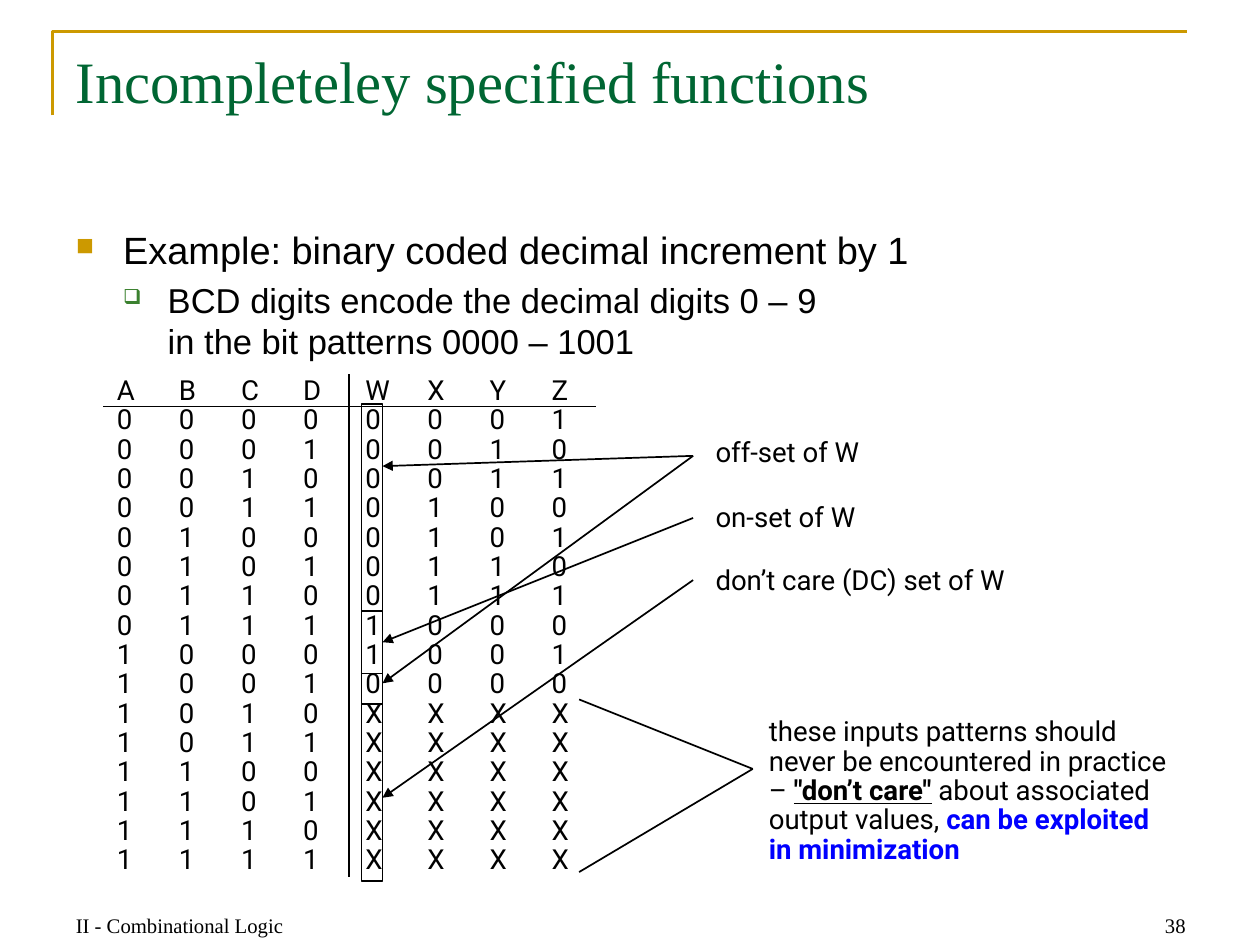
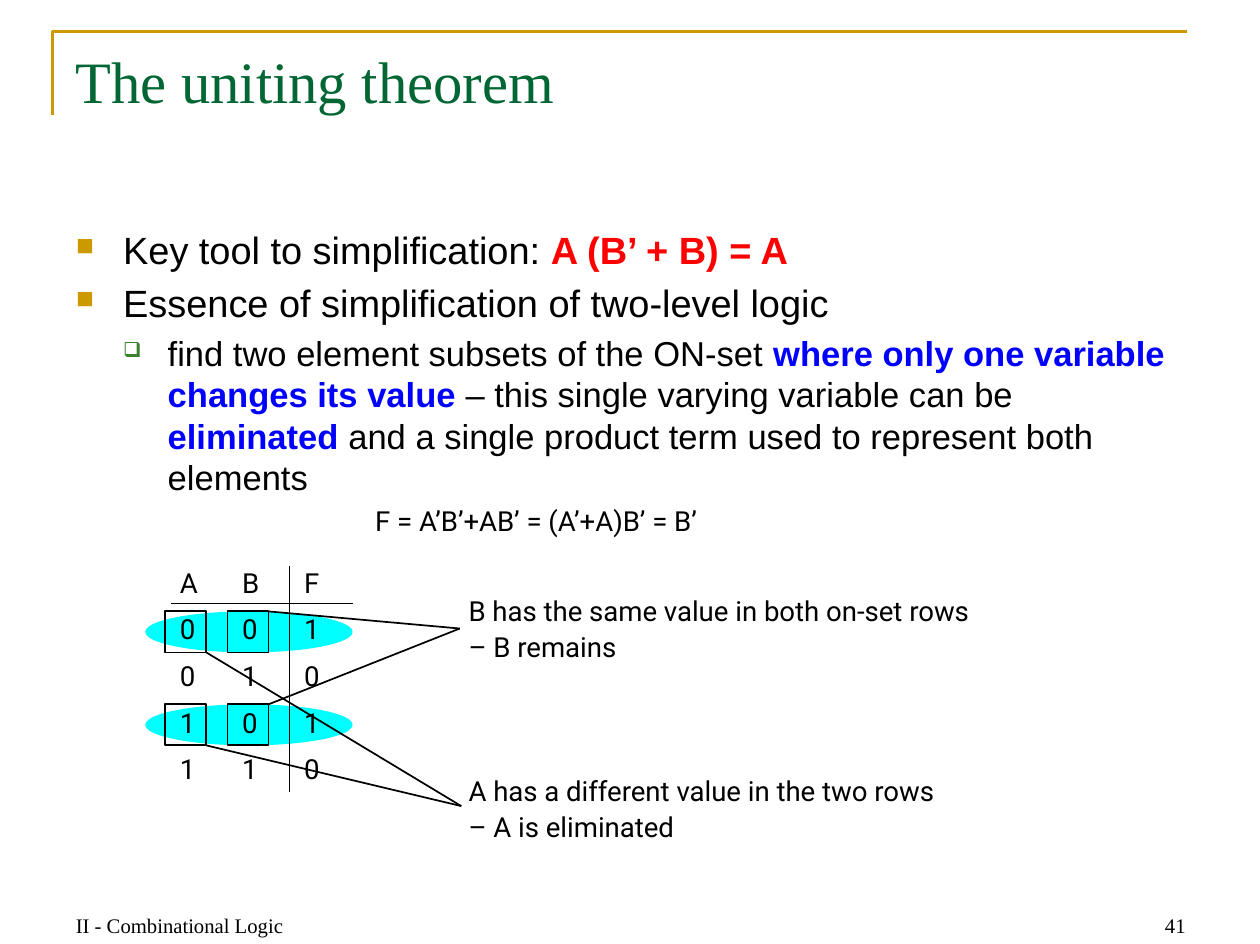
"""Builds two slides on incompletely specified functions and the uniting theorem."""
from lxml.etree import SubElement
from pptx import Presentation
from pptx.dml.color import RGBColor
from pptx.enum.shapes import MSO_CONNECTOR as Connector, MSO_SHAPE as Preset
from pptx.enum.text import MSO_ANCHOR as Anchor, PP_ALIGN as Align
from pptx.oxml.ns import qn
from pptx.util import Cm, Pt

BLACK, GOLD, GREEN, BLUE, RED, CYAN = "000000", "CC9900", "006633", "0000FF", "FF0000", "00FFFF"
STRONG_BLUE = dict(color=BLUE, bold=True)
STRONG_RED = dict(color=RED, bold=True)
FOOTER = "II - Combinational Logic"
FOOTER_STYLE = dict(font="Times New Roman", size=12, anchor=Anchor.BOTTOM)
TITLE_STYLE = dict(font="Times New Roman", size=34, color=GREEN, leading=40.8)
TIGHT = dict(font="Roboto", size=16, margins=(0.05, 0.08))
DENSE = dict(TIGHT, leading=17)
OPEN = dict(TIGHT, leading=21)
LEVELS = [
    dict(size=22, leading=26.4, before=4.4, bullet=("■", GOLD, 65), indent=(0.97, 0.97)),
    dict(size=20, leading=24, before=4, bullet=("❑", "3B812F", 60), indent=(1.88, 0.91)),
]

BCD_TITLE = "Incompleteley specified functions"
BCD_BODY = [
    (0, ["Example: binary coded decimal increment by 1"]),
    (1, ["BCD digits encode the decimal digits 0 – 9\nin the bit patterns 0000 – 1001"]),
]
BCD_ROWS = ["ABCDWXYZ"] + [
    format(digit, "04b") + (format((digit + 1) % 10, "04b") if digit < 10 else "XXXX")
    for digit in range(16)
]
W_EDGES = [8.26, 12.5, 13.77, 14.4, 18.01]
W_SETS = [
    ("off-set of W", 8.89, 9.32, [9.53, 13.97]),
    ("on-set of W", 10.21, 10.59, [13.13]),
    ("don’t care (DC) set of W", 11.51, 11.86, [16.31]),
]
DONT_CARE_NOTE = [
    "these inputs patterns should\nnever be encountered in practice\n– ",
    ("\"don’t care\"", dict(bold=True, underline=True)),
    " about associated\noutput values, ",
    ("can be exploited\nin minimization", STRONG_BLUE),
]

UNITING_TITLE = "The uniting theorem"
UNITING_BODY = [
    (0, ["Key tool to simplification: ", ("A (B’ + B) = A", STRONG_RED)]),
    (0, ["Essence of simplification of two-level logic"]),
    (1, ["find two element subsets of the ON-set ",
         ("where only one variable changes its value", STRONG_BLUE),
         " – this single varying variable can be ", ("eliminated", STRONG_BLUE),
         " and a single product term used to represent both elements"]),
]
FORMULA = "F = A’B’+AB’ = (A’+A)B’ = B’"
UNITING_ROWS = ["ABF", "001", "010", "101", "110"]
ON_ROWS = [12.5, 14.4]
CELL = 0.84
VARIABLES = [
    ("B has the same value in both on-set rows\n– B remains", 4.65, 0, (9.4, 12.85), 11.99),
    ("A has a different value in the two rows\n– A is eliminated", 3.38, CELL, (9.43, 16.48), 15.67),
]


def rgb(color):
    return RGBColor.from_string(color)


def add_bullet(paragraph, character, color, percent):
    properties = paragraph._p.get_or_add_pPr()
    bullet_color = SubElement(properties, qn("a:buClr"))
    SubElement(bullet_color, qn("a:srgbClr")).set("val", color)
    SubElement(properties, qn("a:buSzPct")).set("val", str(percent * 1000))
    SubElement(properties, qn("a:buChar")).set("char", character)


def add_tabs(paragraph, count, step=1.27):
    tab_list = SubElement(paragraph._p.get_or_add_pPr(), qn("a:tabLst"))
    for number in range(1, count + 1):
        tab = SubElement(tab_list, qn("a:tab"))
        tab.set("pos", str(Cm(step * number)))
        tab.set("algn", "l")


def add_run(paragraph, text, font="Arial", size=16, color=BLACK, bold=False, underline=False):
    for number, line in enumerate(text.split("\n")):
        if number:
            paragraph.add_line_break()
        run = paragraph.add_run()
        run.text = line
        run.font.name, run.font.size = font, Pt(size)
        run.font.bold, run.font.underline = bold, underline
        run.font.color.rgb = rgb(color)


def fill_paragraph(paragraph, runs, leading=None, before=0, bullet=None, indent=None,
                   tabs=0, align=Align.LEFT, **style):
    paragraph.alignment = align
    if bullet:
        add_bullet(paragraph, *bullet)
    if indent:
        properties = paragraph._p.get_or_add_pPr()
        properties.set("marL", str(Cm(indent[0])))
        properties.set("indent", str(-Cm(indent[1])))
    if tabs:
        add_tabs(paragraph, tabs)
    if leading:
        paragraph.line_spacing = Pt(leading)
    paragraph.space_before = Pt(before)
    for run in runs:
        text, changes = (run, {}) if isinstance(run, str) else run
        add_run(paragraph, text, **{**style, **changes})


def add_text(slide, box, content, margins=(0.25, 0.13), anchor=Anchor.TOP, **style):
    """Adds a text box; content is a string or a list of (runs, paragraph format)."""
    frame = slide.shapes.add_textbox(*map(Cm, box)).text_frame
    frame.word_wrap, frame.vertical_anchor = True, anchor
    frame.margin_left = frame.margin_right = Cm(margins[0])
    frame.margin_top = frame.margin_bottom = Cm(margins[1])
    paragraphs = [([content], {})] if isinstance(content, str) else content
    for number, (runs, changes) in enumerate(paragraphs):
        paragraph = frame.add_paragraph() if number else frame.paragraphs[0]
        settings = {**style, **changes}
        if not number:
            settings["before"] = 0
        fill_paragraph(paragraph, runs, **settings)


def add_truth_table(slide, box, rows, **style):
    paragraphs = [(["\t".join(row)], {}) for row in rows]
    add_text(slide, box, paragraphs, tabs=len(rows[0]) - 1, **{**TIGHT, **style})


def add_line(slide, start, end, arrow=False):
    line = slide.shapes.add_connector(Connector.STRAIGHT, *map(Cm, (*start, *end)))
    line.line.color.rgb, line.line.width = rgb(BLACK), Pt(1)
    if arrow:
        SubElement(line.line._get_or_add_ln(), qn("a:tailEnd")).set("type", "triangle")
    SubElement(line._element.spPr, qn("a:effectLst"))


def add_outline_or_fill(slide, preset, box, fill=None):
    shape = slide.shapes.add_shape(preset, *map(Cm, box))
    shape.shadow.inherit = False
    if fill:
        shape.fill.solid()
        shape.fill.fore_color.rgb = rgb(fill)
        shape.line.fill.background()
    else:
        shape.fill.background()
        shape.line.color.rgb, shape.line.width = rgb(BLACK), Pt(1)


def add_slide(presentation, title, body, number):
    slide = presentation.slides.add_slide(presentation.slide_layouts[6])
    builder = slide.shapes.build_freeform(Cm(1.07), Cm(2.36))
    builder.add_line_segments([(Cm(1.07), Cm(0.64)), (Cm(24.26), Cm(0.64))], close=False)
    corner = builder.convert_to_shape()
    corner.shadow.inherit = False
    corner.fill.background()
    corner.line.color.rgb, corner.line.width = rgb(GOLD), Pt(1.5)
    add_text(slide, (1.3, 18.01, 6.02, 1.3), FOOTER, **FOOTER_STYLE)
    add_text(slide, (18.47, 18.01, 6.02, 1.3), str(number), align=Align.RIGHT, **FOOTER_STYLE)
    add_text(slide, (1.3, 0.79, 23.16, 3.2), title, **TITLE_STYLE)
    add_text(slide, (1.3, 4.5, 23.16, 12.65), [(runs, LEVELS[level]) for level, runs in body])
    return slide


def build_bcd_slide(presentation):
    slide = add_slide(presentation, BCD_TITLE, BCD_BODY, 38)
    add_line(slide, (2.11, 8.31), (12.19, 8.31))
    add_line(slide, (7.14, 7.65), (7.14, 17.93))
    add_truth_table(slide, (2.34, 7.62, 9.73, 10.54), BCD_ROWS, leading=17)
    for top, bottom in zip(W_EDGES, W_EDGES[1:]):
        add_outline_or_fill(slide, Preset.RECTANGLE, (7.39, top, 0.43, bottom - top))
    for label, top, start, ends in W_SETS:
        add_text(slide, (14.58, top, 7.2, 1), label, **DENSE)
        for end in ends:
            add_line(slide, (14.17, start), (7.82, end), arrow=True)
    for start in (14.3, 17.83):
        add_line(slide, (11.84, start), (15.39, 15.72))
    add_text(slide, (15.67, 14.6, 8.86, 2.74), [(DONT_CARE_NOTE, {})], **DENSE)


def build_uniting_slide(presentation):
    slide = add_slide(presentation, UNITING_TITLE, UNITING_BODY, 41)
    for top in ON_ROWS:
        add_outline_or_fill(slide, Preset.OVAL, (2.97, top, 4.24, CELL), CYAN)
    add_truth_table(slide, (3.63, 11.53, 3.81, 4.8), UNITING_ROWS, leading=18, before=9)
    add_line(slide, (3.5, 12.34), (7.21, 12.34))
    add_line(slide, (5.92, 11.58), (5.92, 16.2))
    for note, left, drop, target, note_top in VARIABLES:
        for top in ON_ROWS:
            add_outline_or_fill(slide, Preset.RECTANGLE, (left, top, CELL, CELL))
            add_line(slide, (left + CELL, top + drop), target)
        add_text(slide, (9.53, note_top, 13.08, 1.83), note, **OPEN)
    add_text(slide, (7.62, 10.16, 9.5, 1.09), FORMULA, **OPEN)


def main():
    presentation = Presentation()
    presentation.slide_width, presentation.slide_height = Cm(25.76), Cm(19.3)
    build_bcd_slide(presentation)
    build_uniting_slide(presentation)
    presentation.save("out.pptx")


if __name__ == "__main__":
    main()
